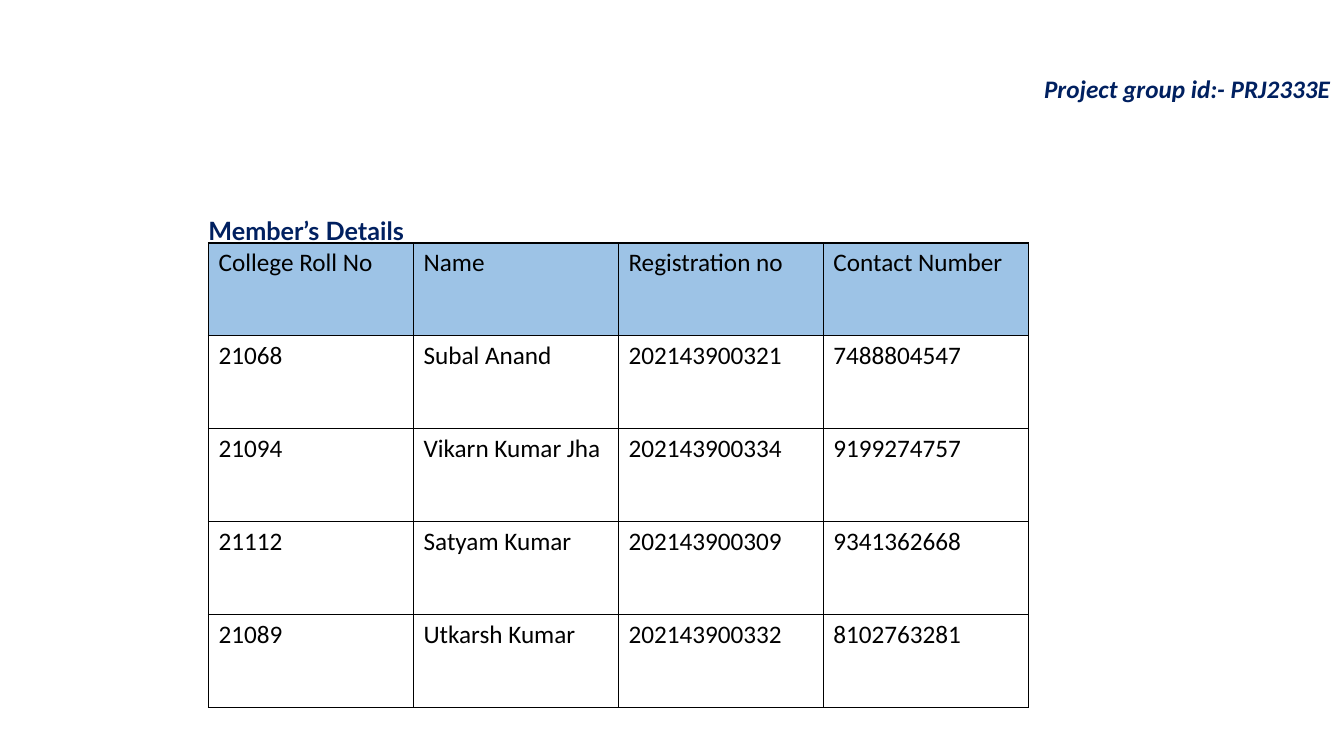
from lxml import etree
from pptx import Presentation
from pptx import util as u
from pptx.dml import color
from pptx.enum import text
from pptx.oxml import ns

rows = [
    ("College Roll No", "Name", "Registration no", "Contact Number"),
    ("21068", "Subal Anand", "202143900321", "7488804547"),
    ("21094", "Vikarn Kumar Jha", "202143900334", "9199274757"),
    ("21112", "Satyam Kumar", "202143900309", "9341362668"),
    ("21089", "Utkarsh Kumar", "202143900332", "8102763281"),
]
labels = [
    ("Member’s Details", (141.8, 131.8, 480, 41.8), "Lato", False, True, 40),
    ("Project group id:- PRJ2333E", (738.7, 49, 221, 29), "Calibri", True, False, None),
]
navy, black, blue = "002060", "000000", "9DC3E6"
left, top, wide, high = 149, 173.5, 146.4, 66.4


def paint(spot, tone):
    spot.rgb = color.RGBColor.from_string(tone)


def write(para, words, face, tone, bold=False, slant=False):
    run = para.add_run()
    run.text = words
    font = run.font
    font.name, font.size = face, u.Pt(18)
    font.bold, font.italic = bold, slant
    paint(font.color, tone)


def edge(cell):
    props = cell._tc.get_or_add_tcPr()
    for spot, side in enumerate(("lnL", "lnR", "lnT", "lnB")):
        line = etree.Element(ns.qn("a:" + side), w=str(u.Pt(1)))
        fill = etree.SubElement(line, ns.qn("a:solidFill"))
        etree.SubElement(fill, ns.qn("a:srgbClr"), val=black)
        props.insert(spot, line)


deck = Presentation()
deck.slide_width, deck.slide_height = u.Pt(960), u.Pt(540)
slide = deck.slides.add_slide(deck.slide_layouts[6])

size = (left, top, wide * len(rows[0]), high * len(rows))
grid = slide.shapes.add_table(len(rows), len(rows[0]), *map(u.Pt, size)).table
grid.horz_banding = False
for col in grid.columns:
    col.width = u.Pt(wide)
for r, row in enumerate(rows):
    grid.rows[r].height = u.Pt(high)
    for c, words in enumerate(row):
        cell = grid.cell(r, c)
        if r == 0:
            cell.fill.solid()
            paint(cell.fill.fore_color, blue)
        else:
            cell.fill.background()
        edge(cell)
        write(cell.text_frame.paragraphs[0], words, "Calibri", black)

for words, place, face, slant, wrap, pitch in labels:
    frame = slide.shapes.add_textbox(*map(u.Pt, place)).text_frame
    frame.word_wrap = wrap
    frame.auto_size = text.MSO_AUTO_SIZE.SHAPE_TO_FIT_TEXT
    para = frame.paragraphs[0]
    if pitch:
        para.line_spacing = u.Pt(pitch)
    write(para, words, face, navy, True, slant)

deck.save("out.pptx")
